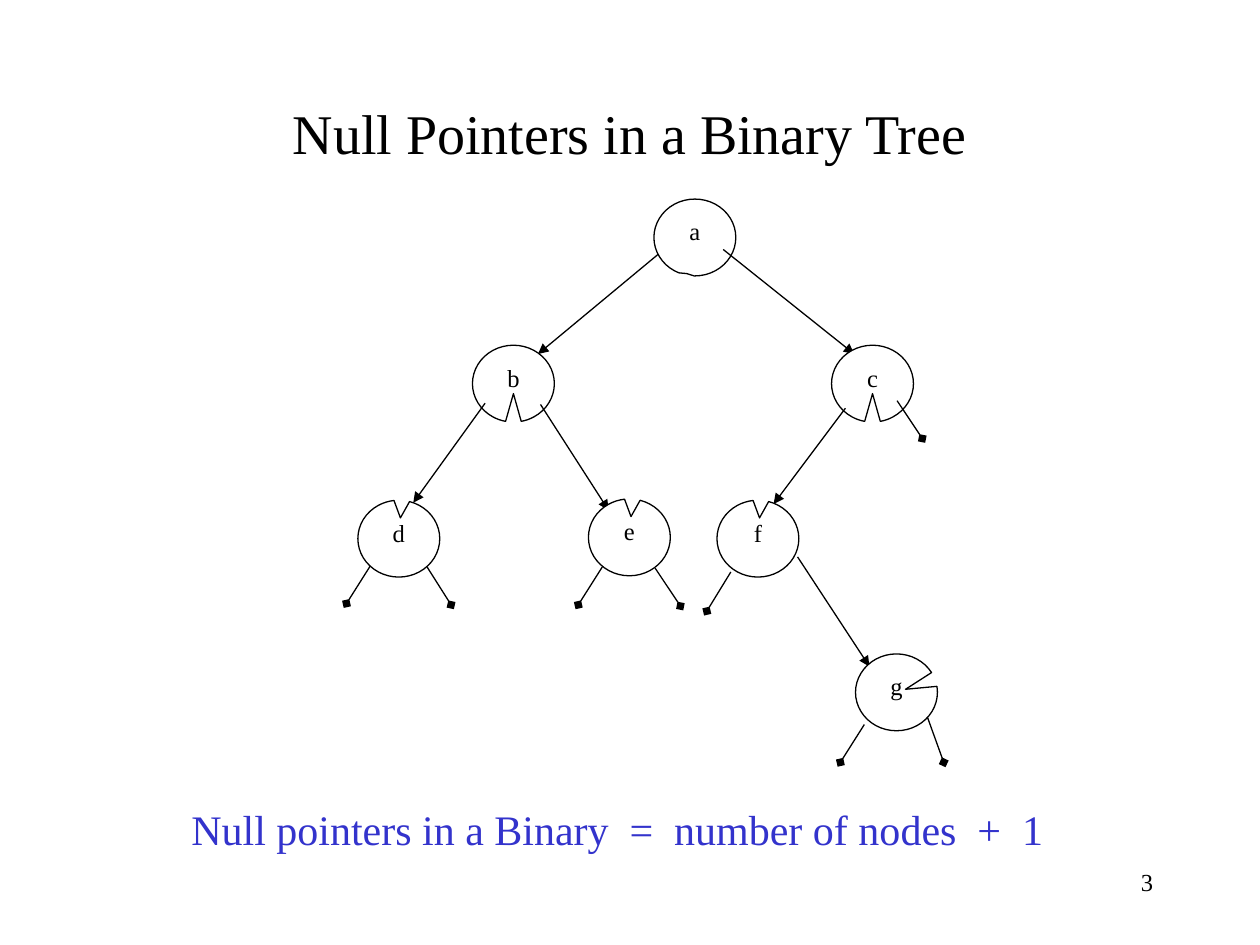
from pptx import Presentation
from pptx.dml.color import RGBColor
from pptx.enum.shapes import MSO_CONNECTOR, MSO_SHAPE
from pptx.enum.text import MSO_ANCHOR, PP_ALIGN
from pptx.oxml.ns import qn
from pptx.util import Inches, Pt
from lxml.etree import SubElement


def write(shape, text, size, color, align, anchor=MSO_ANCHOR.TOP):
    frame = shape.text_frame
    frame.text = text
    frame.word_wrap = True
    frame.vertical_anchor = anchor
    paragraph = frame.paragraphs[0]
    paragraph.alignment = align
    font = paragraph.runs[0].font
    font.name = "Times New Roman"
    font.size = Pt(size)
    font.color.rgb = RGBColor.from_string(color)
    return paragraph


def pointer(ends, head):
    line = slide.shapes.add_connector(MSO_CONNECTOR.STRAIGHT, *map(Inches, ends))
    line.line.width = Pt(0.75)
    line.line.color.rgb = RGBColor.from_string("000000")
    SubElement(line.line._get_or_add_ln(), qn("a:tailEnd"), type=head)
    SubElement(line._element.spPr, qn("a:effectLst"))


prs = Presentation()
prs.slide_width, prs.slide_height = Inches(10), Inches(7.5)
slide = prs.slides.add_slide(prs.slide_layouts[5])

title = slide.shapes.title
title.left, title.top = Inches(0.75), Inches(0.67)
title.width, title.height = Inches(8.5), Inches(0.75)
write(title, "Null Pointers in a Binary Tree", 32, "000000", PP_ALIGN.CENTER, MSO_ANCHOR.MIDDLE)

tree = [
    ("b", 3.75, 2.74, (0, 0.13), None),
    ("a", 5.19, 1.58, (-0.1, 0.47), (5.27, 1.98, 4.27, 2.81)),
    ("c", 6.6, 2.74, (0, 0.13), (5.74, 1.98, 6.78, 2.81)),
    ("d", 2.84, 3.97, (0.02, -0.27), (3.85, 3.2, 3.28, 3.99)),
    ("e", 4.67, 3.96, (0.02, -0.27), (4.29, 3.21, 4.83, 4.05)),
    ("f", 5.69, 3.97, (0.02, -0.27), (6.71, 3.24, 6.14, 4)),
    ("g", 6.79, 5.19, (0.11, -0.04), (6.33, 4.42, 6.9, 5.29)),
]
for letter, left, top, notch, link in tree:
    if link:
        pointer(link, "triangle")
    node = slide.shapes.add_shape(
        MSO_SHAPE.OVAL_CALLOUT, Inches(left), Inches(top), Inches(0.65), Inches(0.61))
    node.adjustments[0], node.adjustments[1] = notch
    node.shadow.inherit = False
    node.fill.solid()
    node.fill.fore_color.rgb = RGBColor.from_string("FFFFFF")
    node.line.color.rgb = RGBColor.from_string("000000")
    node.line.width = Pt(0.75)
    write(node, letter, 14, "000000", PP_ALIGN.CENTER)

null_pointers = [
    (2.94, 4.49, 2.75, 4.79),
    (3.39, 4.5, 3.58, 4.8),
    (4.78, 4.5, 4.59, 4.8),
    (5.2, 4.51, 5.4, 4.81),
    (5.8, 4.54, 5.61, 4.85),
    (7.12, 3.18, 7.32, 3.48),
    (6.86, 5.75, 6.67, 6.05),
    (7.36, 5.69, 7.49, 6.05),
]
for ends in null_pointers:
    pointer(ends, "diamond")

rule = slide.shapes.add_textbox(Inches(1.42), Inches(6.33), Inches(7.33), Inches(0.5))
rule_line = write(rule, "Null pointers in a Binary  =  number of nodes  +  1", 24, "3333CC", PP_ALIGN.LEFT)
rule_line.space_before = Pt(15)

page_number = slide.shapes.add_textbox(Inches(7.17), Inches(6.83), Inches(2.08), Inches(0.5))
write(page_number, "3", 14, "000000", PP_ALIGN.RIGHT)

prs.save("out.pptx")
